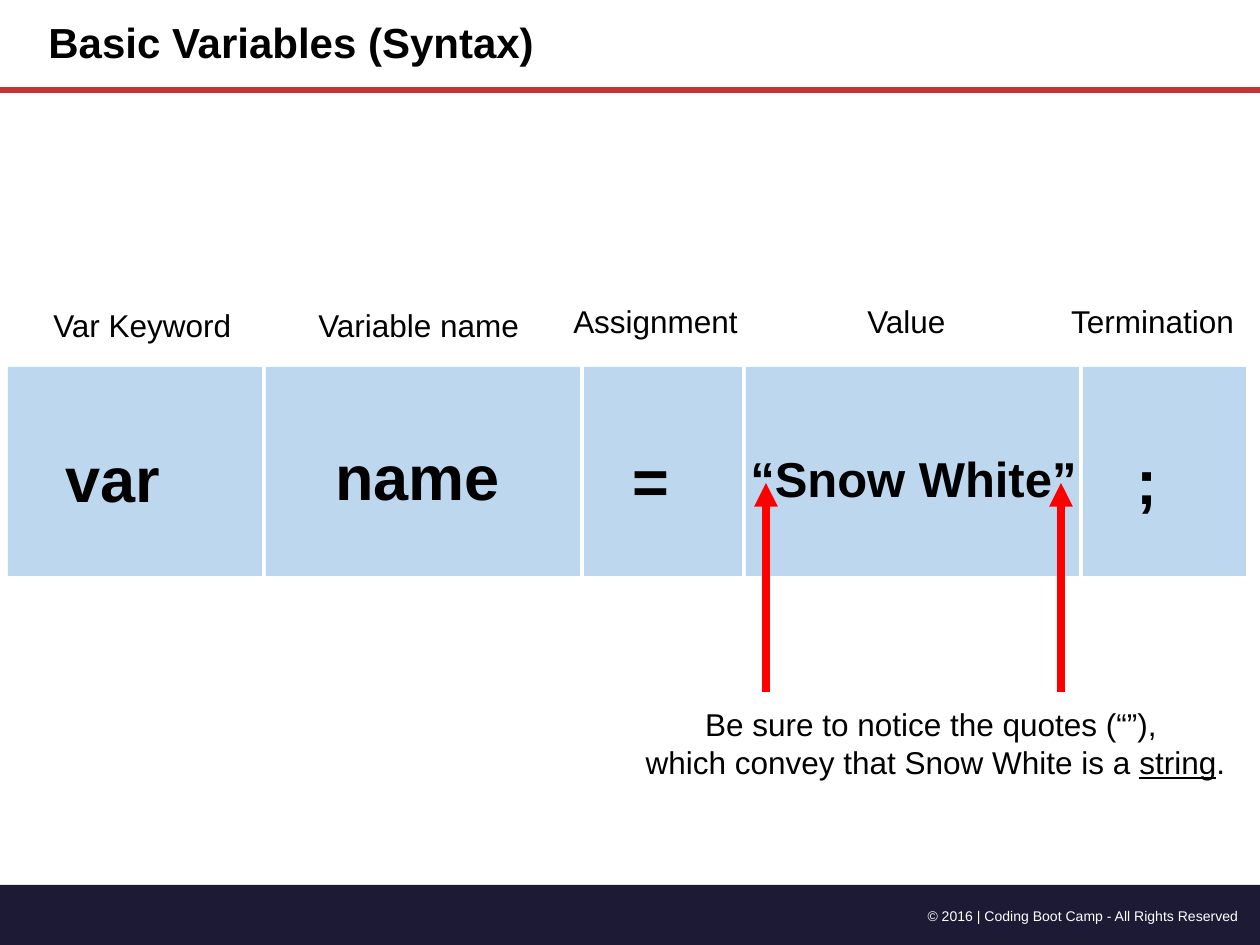
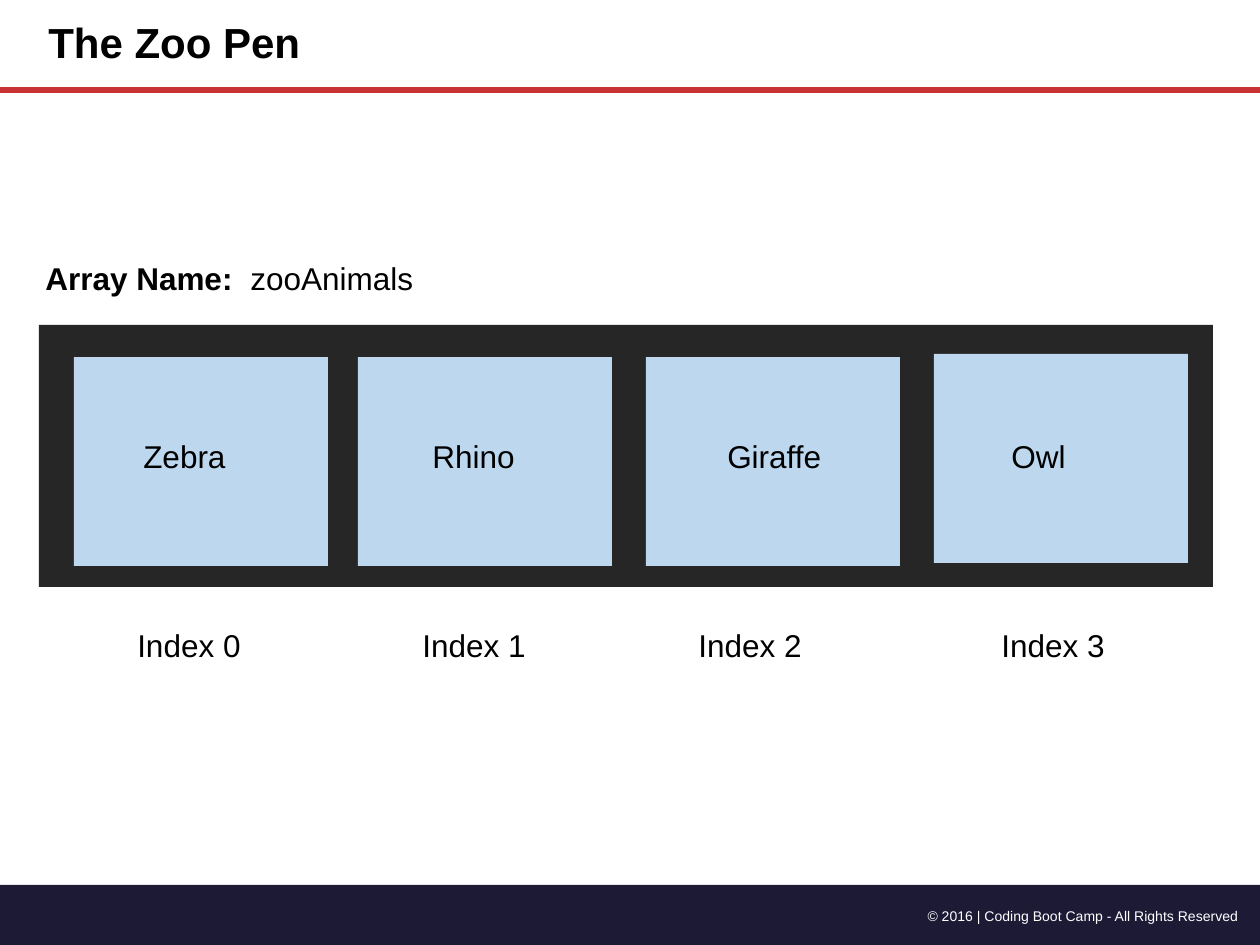
from lxml import etree
from pptx import Presentation
from pptx import util as u
from pptx.dml.color import RGBColor
from pptx.enum import shapes, text
from pptx.oxml.ns import qn

PX = 914400 / 126
WIDE, HIGH = 1260, 945
FONT = "Arial"
HUES = {"ink": "000000", "paper": "FFFFFF", "band": "1D1A36", "rule": "C83232",
        "cell": "BDD7EE", "pen": "262626", "arrow": "FF0000"}
LEFT, MID, RIGHT = text.PP_ALIGN.LEFT, text.PP_ALIGN.CENTER, text.PP_ALIGN.RIGHT

CREDIT = "© 2016 | Coding Boot Camp - All Rights Reserved"

# Slide 1: cell width, label with its left, top and width, word with its left, top and width
TOKENS = [
    (254, ("Var Keyword", 47, 300, 193), ("var", 59, 433, 195)),
    (314, ("Variable name", 312, 300, 215), ("name", 329, 431, 263)),
    (158, ("Assignment", 567, 296, 179), ("=", 626, 435, 117)),
    (333, ("Value", 861, 296, 92), None),
    (163, ("Termination", 1065, 296, 178), (";", 1130, 435, 117)),
]
START, GAP = 8, 4
QUOTED = "“Snow White”"
ARROWS = [1061, 766]
NOTE = [
    [("Be sure to notice the quotes (“”), ", "")],
    [("which convey that Snow White is a ", ""), ("string", "u"), (".", "")],
]

# Slide 2: animal, cell left and top, word left and width, index left and width
ANIMALS = [
    ("Zebra", 74, 357, 137, 97, 131, 126),
    ("Rhino", 358, 357, 426, 97, 416, 117),
    ("Giraffe", 646, 357, 721, 108, 692, 117),
    ("Owl", 934, 354, 1005, 68, 995, 117),
]
ARRAY = [[("Array Name:", "b"), ("\tzooAnimals", "")]]
TAB = 205


def px(*sizes):
    return [u.Emu(round(size * PX)) for size in sizes]


def hue(name):
    return RGBColor.from_string(HUES[name])


def fill(frame, paras, size, ink="ink", align=LEFT, wrap=True):
    """Write paragraphs of (words, marks) runs; marks hold b for bold, u for underline."""
    frame.margin_left = frame.margin_right = u.Inches(0.05)
    frame.margin_top = frame.margin_bottom = u.Inches(0.05)
    frame.word_wrap = wrap
    for i, runs in enumerate(paras):
        para = frame.add_paragraph() if i else frame.paragraphs[0]
        para.alignment = align
        for words, marks in runs:
            run = para.add_run()
            run.text = words
            font = run.font
            font.name, font.size, font.color.rgb = FONT, u.Pt(size), hue(ink)
            font.bold, font.underline = "b" in marks, "u" in marks


def write(slide, box, paras, size, **look):
    frame = slide.shapes.add_textbox(*px(*box)).text_frame
    fill(frame, paras, size, **look)
    frame.auto_size = text.MSO_AUTO_SIZE.SHAPE_TO_FIT_TEXT
    return frame


def label(slide, words, left, top, width):
    write(slide, (left, top, width, 48), [[(words, "")]], 18, wrap=False)


def block(slide, box, color):
    rect = slide.shapes.add_shape(shapes.MSO_SHAPE.RECTANGLE, *px(*box))
    rect.shadow.inherit = False
    rect.fill.solid()
    rect.fill.fore_color.rgb = hue(color)
    rect.line.fill.background()


def line(slide, ends, color, width, head=False):
    link = slide.shapes.add_connector(shapes.MSO_CONNECTOR.STRAIGHT, *px(*ends))
    link.line.color.rgb = hue(color)
    link.line.width = u.Pt(width)
    if head:
        etree.SubElement(link.line._get_or_add_ln(), qn("a:tailEnd"), type="triangle")
    etree.SubElement(link._element.spPr, qn("a:effectLst"))


def start(deck, name):
    """Add a slide with its title, rule and footer band."""
    slide = deck.slides.add_slide(deck.slide_layouts[5])
    block(slide, (0, 885, WIDE, HIGH - 885), "band")
    write(slide, (861, 901, 384, 28), [[(CREDIT, "")]], 8, ink="paper", align=RIGHT)
    line(slide, (0, 90, WIDE, 90), "rule", 3.25)
    title = slide.shapes.title
    title.left, title.top, title.width, title.height = px(42, 0, 753, 90)
    frame = title.text_frame
    fill(frame, [[(name, "b")]], 24)
    frame.auto_size = text.MSO_AUTO_SIZE.NONE
    frame.vertical_anchor = text.MSO_ANCHOR.MIDDLE
    frame.paragraphs[0].line_spacing = 0.9
    return slide


def syntax(deck):
    slide = start(deck, "Basic Variables (Syntax)")
    left = START
    for width, _, _ in TOKENS:
        block(slide, (left, 367, width, 209), "cell")
        left += width + GAP
    for _, tag, word in TOKENS:
        label(slide, *tag)
        if word:
            words, *box = word
            write(slide, (*box, 84), [[(words, "b")]], 36)
    write(slide, (639, 699, 593, 86), NOTE, 18, align=MID, wrap=False)
    for x in ARROWS:
        line(slide, (x, 692, x, 483), "arrow", 4.5, head=True)
    write(slide, (726, 442, 375, 67), [[(QUOTED, "b")]], 28, align=MID)


def zoo(deck):
    slide = start(deck, "The Zoo Pen")
    block(slide, (39, 325, 1174, 262), "pen")
    for i, (name, left, top, word, wide, mark, span) in enumerate(ANIMALS):
        block(slide, (left, top, 254, 209), "cell")
        label(slide, name, word, 431, wide)
        label(slide, f"Index {i}", mark, 620, span)
    frame = write(slide, (39, 253, 382, 48), ARRAY, 18)
    tabs = etree.SubElement(frame.paragraphs[0]._p.get_or_add_pPr(), qn("a:tabLst"))
    etree.SubElement(tabs, qn("a:tab"), pos=str(px(TAB)[0]), algn="l")


def main():
    deck = Presentation()
    deck.slide_width, deck.slide_height = px(WIDE, HIGH)
    syntax(deck)
    zoo(deck)
    deck.save("out.pptx")


if __name__ == "__main__":
    main()
